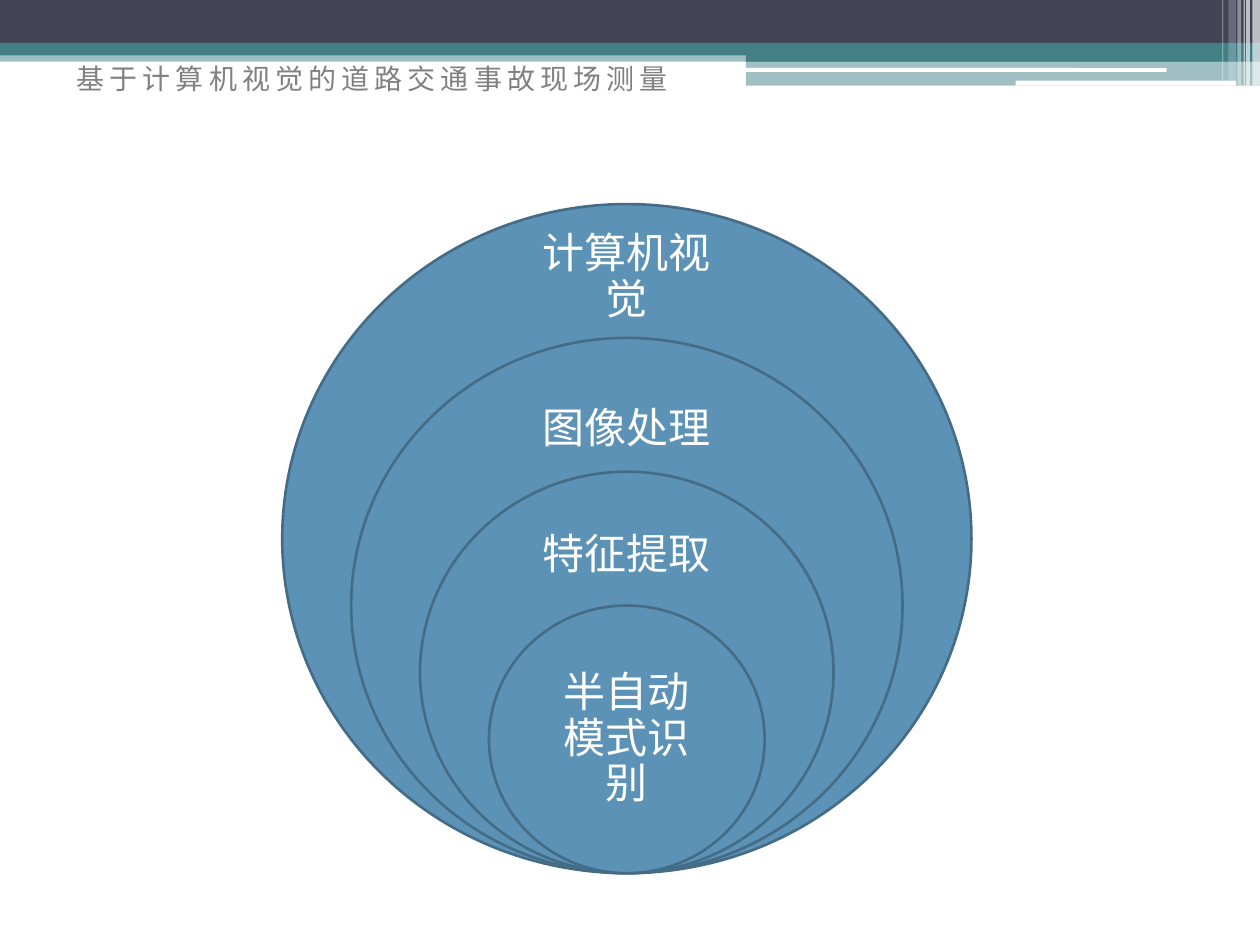
from dataclasses import dataclass

from lxml.etree import SubElement
from pptx import Presentation
from pptx.dml.color import RGBColor
from pptx.enum.shapes import MSO_SHAPE as Shape
from pptx.enum.text import MSO_ANCHOR as Anchor, MSO_AUTO_SIZE as AutoSize, PP_ALIGN as Align
from pptx.oxml.ns import qn
from pptx.util import Inches, Pt


@dataclass(frozen=True)
class Theme:
    """Colours, fonts and type sizes of the slide."""
    navy: str = "424456"
    teal: str = "438086"
    white: str = "FFFFFF"
    grey: str = "808080"
    disc: str = "5C92B5"
    outline: str = "446C86"
    latin_font: str = "TeX Gyre Schola"
    chinese_font: str = "Noto Sans CJK SC"
    title_size: float = 16
    label_size: float = 24


THEME = Theme()


def add_filled(slide, kind, box, color, opacity=100):
    """Add a borderless preset shape with an optionally translucent fill."""
    shape = slide.shapes.add_shape(kind, *map(Inches, box))
    shape.shadow.inherit = False
    shape.fill.solid()
    shape.fill.fore_color.rgb = RGBColor.from_string(color)
    shape.line.fill.background()
    if opacity < 100:
        color_element = shape.fill._xPr.find(qn("a:solidFill"))[0]
        SubElement(color_element, qn("a:alpha"), val=str(opacity * 1000))
    return shape


def add_run(paragraph, text, size, color, latin_font):
    """Add a run with its Latin and Chinese fonts."""
    run = paragraph.add_run()
    run.text = text
    run.font.size = Pt(size)
    run.font.name = latin_font
    run.font.color.rgb = RGBColor.from_string(color)
    SubElement(run._r.get_or_add_rPr(), qn("a:ea"), typeface=THEME.chinese_font)
    return run


def add_header(slide, box):
    """Draw the banded header with its steps and right-hand stripes."""
    left, top, width, height = box
    right = left + width
    step_left = left + 5.92
    step_width = right - step_left
    bands = [
        (left, 0.4, width, 0.09, THEME.teal, 50),
        (left, 0, width, 0.34, THEME.navy, 100),
        (left, 0.34, width, 0.1, THEME.teal, 100),
        (step_left, 0.39, step_width, 0.1, THEME.teal, 100),
        (step_left, 0.48, step_width, 0.2, THEME.teal, 50),
    ]
    for x, y, band_width, band_height, color, opacity in bands:
        add_filled(slide, Shape.RECTANGLE, (x, top + y, band_width, band_height), color, opacity)
    for x, y, bar_width, bar_height in [(5.91, 0.54, 3.35, 0.03), (8.06, 0.64, 1.75, 0.04)]:
        add_filled(slide, Shape.ROUNDED_RECTANGLE,
                   (left + x, top + y, bar_width, bar_height), THEME.white)
    stripes = [
        (0.06, 0.06, height, 65),
        (0.11, 0.03, height, 65),
        (0.13, 0.01, height, 60),
        (0.18, 0.03, height, 40),
        (0.25, 0.06, 0.64, 20),
        (0.3, 0.01, 0.64, 30),
    ]
    for offset, stripe_width, stripe_height, opacity in stripes:
        add_filled(slide, Shape.RECTANGLE,
                   (right - offset, top, stripe_width, stripe_height), THEME.white, opacity)


def add_title(slide, box, text):
    """Write the letter-spaced running title."""
    frame = slide.shapes.add_textbox(*map(Inches, box)).text_frame
    frame.word_wrap = False
    frame.auto_size = AutoSize.SHAPE_TO_FIT_TEXT
    run = add_run(frame.paragraphs[0], text, THEME.title_size, THEME.grey, THEME.chinese_font)
    run._r.get_or_add_rPr().set("spc", "300")


def add_label(slide, box, text):
    """Write a centred label inside a disc."""
    frame = slide.shapes.add_textbox(*map(Inches, box)).text_frame
    frame.word_wrap = True
    frame.vertical_anchor = Anchor.MIDDLE
    frame.margin_left = frame.margin_right = frame.margin_top = frame.margin_bottom = 0
    paragraph = frame.paragraphs[0]
    paragraph.alignment = Align.CENTER
    paragraph.line_spacing = 0.9
    paragraph.space_after = Pt(0.35 * THEME.label_size)
    add_run(paragraph, text, THEME.label_size, THEME.white, THEME.latin_font)


def add_nested_discs(slide, box, levels):
    """Stack discs that shrink by a fifth and share their lowest point."""
    left, top, width, height = box
    center = left + width / 2
    for index, (text, label_top, label_width, label_height) in enumerate(levels):
        scale = 1 - 0.2 * index
        disc_width, disc_height = width * scale, height * scale
        disc_box = (center - disc_width / 2, top + height - disc_height, disc_width, disc_height)
        disc = add_filled(slide, Shape.OVAL, disc_box, THEME.disc)
        disc.line.color.rgb = RGBColor.from_string(THEME.outline)
        disc.line.width = Pt(1.5)
        label_box = (center - label_width / 2, top + label_top, label_width, label_height)
        add_label(slide, label_box, text)


def main():
    """Build and save the slide."""
    presentation = Presentation()
    presentation.slide_width = Inches(10)
    presentation.slide_height = Inches(7.5)
    slide = presentation.slides.add_slide(presentation.slide_layouts[6])
    add_header(slide, (0, 0, 10, 0.68))
    add_title(slide, (0.51, 0.44, 5, 0.37), "基于计算机视觉的道路交通事故现场测量")
    levels = [
        ("计算机视觉", 0.04, 1.51, 1.09),
        ("图像处理", 1.48, 1.43, 0.63),
        ("特征提取", 2.52, 1.36, 0.54),
        ("半自动模式识别", 3.6, 1.15, 1.3),
    ]
    add_nested_discs(slide, (2.24, 1.62, 5.47, 5.31), levels)
    presentation.save("out.pptx")


if __name__ == "__main__":
    main()
